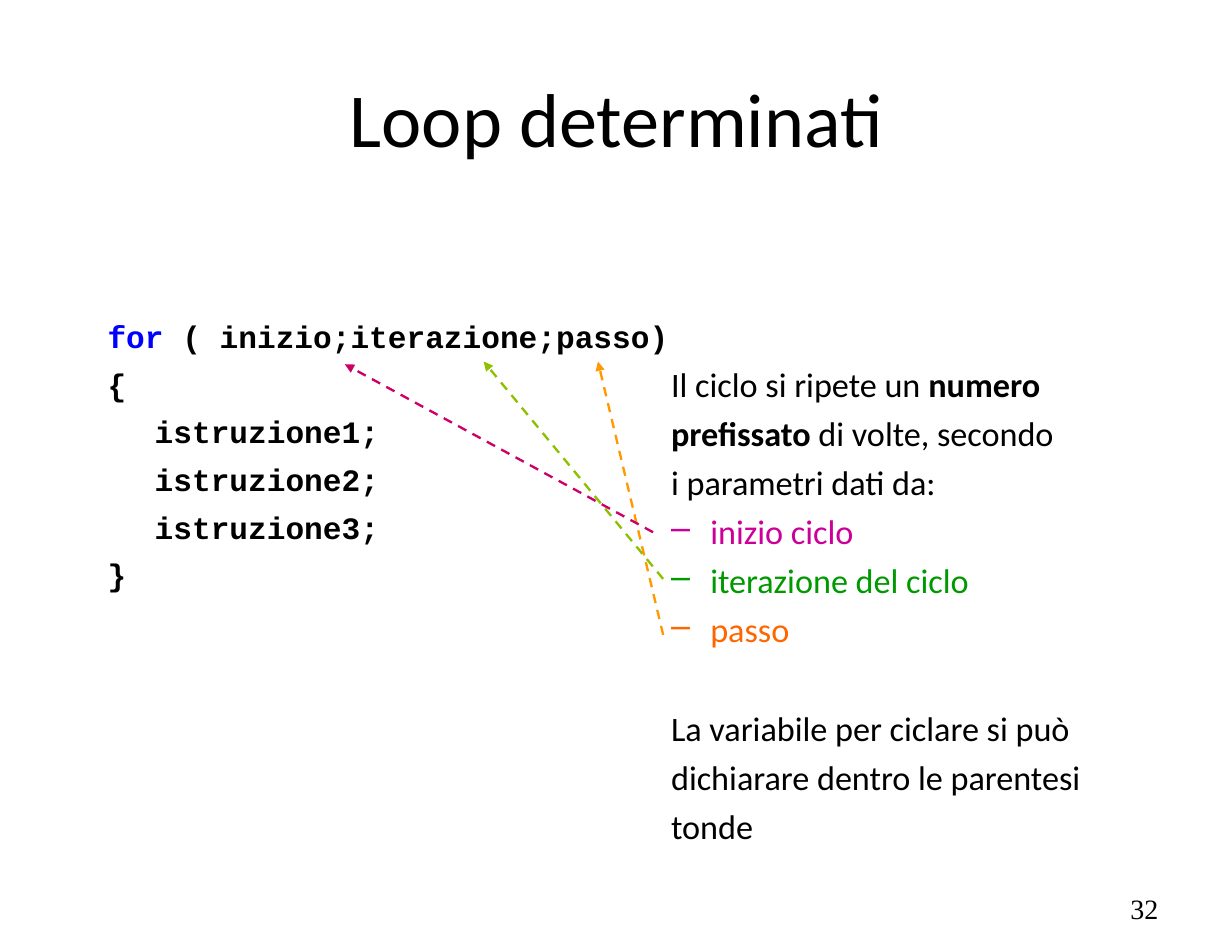
from collections import namedtuple
from dataclasses import dataclass

from lxml import etree
from pptx import Presentation
from pptx.dml.color import RGBColor
from pptx.enum import dml, shapes, text
from pptx.oxml import ns
from pptx.util import Cm, Pt

Box = namedtuple("Box", "left top width height")


@dataclass(frozen=True)
class Theme:
    ink: str = "000000"
    keyword: str = "0000FF"
    start: str = "CC0099"
    iteration: str = "009900"
    step: str = "FF6600"
    start_arrow: str = "CC0066"
    iteration_arrow: str = "8EC000"
    step_arrow: str = "FF9900"
    body_font: str = "Calibri"
    code_font: str = "Courier New"
    number_font: str = "Times New Roman"
    title_size: float = 49
    body_size: float = 22
    code_size: float = 20
    number_size: float = 18


THEME = Theme()


def add_frame(slide, box, anchor=text.MSO_ANCHOR.TOP, inset_top=0.15):
    shape = slide.shapes.add_textbox(*(Cm(value) for value in box))
    frame = shape.text_frame
    frame.word_wrap = True
    frame.vertical_anchor = anchor
    frame.margin_left = frame.margin_right = Cm(0.28)
    frame.margin_top, frame.margin_bottom = Cm(inset_top), Cm(0.15)
    return frame


def add_bullet(paragraph, color):
    properties = paragraph._p.get_or_add_pPr()
    bullet_color = etree.SubElement(properties, ns.qn("a:buClr"))
    etree.SubElement(bullet_color, ns.qn("a:srgbClr"), val=color)
    etree.SubElement(properties, ns.qn("a:buChar"), char="–")


def write(frame, runs, font=THEME.body_font, size=THEME.body_size, align=None,
          before=0, margin=0, indent=0, bullet=None):
    """Add one paragraph; each run is (text, color, bold)."""
    first = not frame.paragraphs[0].runs
    paragraph = frame.paragraphs[0] if first else frame.add_paragraph()
    if bullet:
        add_bullet(paragraph, bullet)
    properties = paragraph._p.get_or_add_pPr()
    properties.set("marL", str(Cm(margin)))
    properties.set("indent", str(Cm(indent)))
    paragraph.alignment = align
    paragraph.space_before = Pt(0 if first else before)
    for words, color, bold in runs:
        run = paragraph.add_run()
        run.text = words
        run.font.name, run.font.size, run.font.bold = font, Pt(size), bold
        run.font.color.rgb = RGBColor.from_string(color)


def add_title(slide, box):
    frame = add_frame(slide, box, text.MSO_ANCHOR.MIDDLE)
    write(frame, [("Loop determinati", THEME.ink, False)],
          size=THEME.title_size, align=text.PP_ALIGN.CENTER)


def add_code(slide, box):
    frame = add_frame(slide, box, inset_top=0.24)
    lines = [
        (0, [("for", THEME.keyword, True),
             (" ( inizio;iterazione;passo)", THEME.ink, True)]),
        (0, [("{", THEME.ink, True)]),
        *((1.07, [(f"istruzione{number};", THEME.ink, True)]) for number in (1, 2, 3)),
        (0, [("}", THEME.ink, True)]),
    ]
    for margin, runs in lines:
        write(frame, runs, font=THEME.code_font, size=THEME.code_size,
              before=6.6, margin=margin)


def add_explanation(slide, box):
    frame = add_frame(slide, box)
    hanging = {"margin": 2.29, "indent": -0.89}
    gap, section_gap = 5.1, 37

    # Introduction
    for runs in (
        [("Il ciclo si ripete un ", THEME.ink, False), ("numero", THEME.ink, True)],
        [("prefissato", THEME.ink, True), (" di volte, secondo", THEME.ink, False)],
        [("i parametri dati da:", THEME.ink, False)],
    ):
        write(frame, runs, before=gap, **hanging)

    # Loop parameters
    for words, color in (("inizio ciclo", THEME.start),
                         ("iterazione del ciclo", THEME.iteration),
                         ("passo", THEME.step)):
        write(frame, [(words, color, False)], before=gap, bullet=color, **hanging)

    # Closing remark
    remark = ("La variabile per ciclare si può", "dichiarare dentro le parentesi", "tonde")
    for index, words in enumerate(remark):
        write(frame, [(words, THEME.ink, False)],
              before=gap if index else section_gap, **hanging)


def add_page_number(slide, box):
    frame = add_frame(slide, box, text.MSO_ANCHOR.MIDDLE)
    write(frame, [("32", THEME.ink, False)], font=THEME.number_font,
          size=THEME.number_size, align=text.PP_ALIGN.RIGHT)


def add_arrow(slide, start, end, color):
    connector = slide.shapes.add_connector(
        shapes.MSO_CONNECTOR.STRAIGHT, *(Cm(value) for value in (*start, *end)))
    line = connector.line
    line.color.rgb = RGBColor.from_string(color)
    line.width = Pt(1.5)
    line.dash_style = dml.MSO_LINE.DASH
    etree.SubElement(line._get_or_add_ln(), ns.qn("a:tailEnd"), type="triangle")
    etree.SubElement(connector._element.spPr, ns.qn("a:effectLst"))


def add_parameter_arrows(slide, box):
    """Arrows from the listed parameters up to the loop header."""
    right, bottom = box.width, box.height
    for start, end, color in (
        ((right, bottom), (5.74, 0), THEME.step_arrow),
        ((right, 4.93), (3.15, 0), THEME.iteration_arrow),
        ((6.99, 3.87), (0, 0.06), THEME.start_arrow),
    ):
        add_arrow(slide, (box.left + start[0], box.top + start[1]),
                  (box.left + end[0], box.top + end[1]), color)


def main():
    presentation = Presentation()
    presentation.slide_width, presentation.slide_height = Cm(27.94), Cm(21.59)
    slide = presentation.slides.add_slide(presentation.slide_layouts[6])
    add_title(slide, Box(1.4, 0.86, 25.15, 3.61))
    add_code(slide, Box(2.16, 6.96, 13.69, 12.22))
    add_explanation(slide, Box(13.54, 8.1, 12.5, 12.22))
    add_page_number(slide, Box(20.02, 20.02, 6.53, 1.14))
    add_parameter_arrows(slide, Box(7.82, 8.2, 7.22, 6.2))
    presentation.save("out.pptx")


if __name__ == "__main__":
    main()
